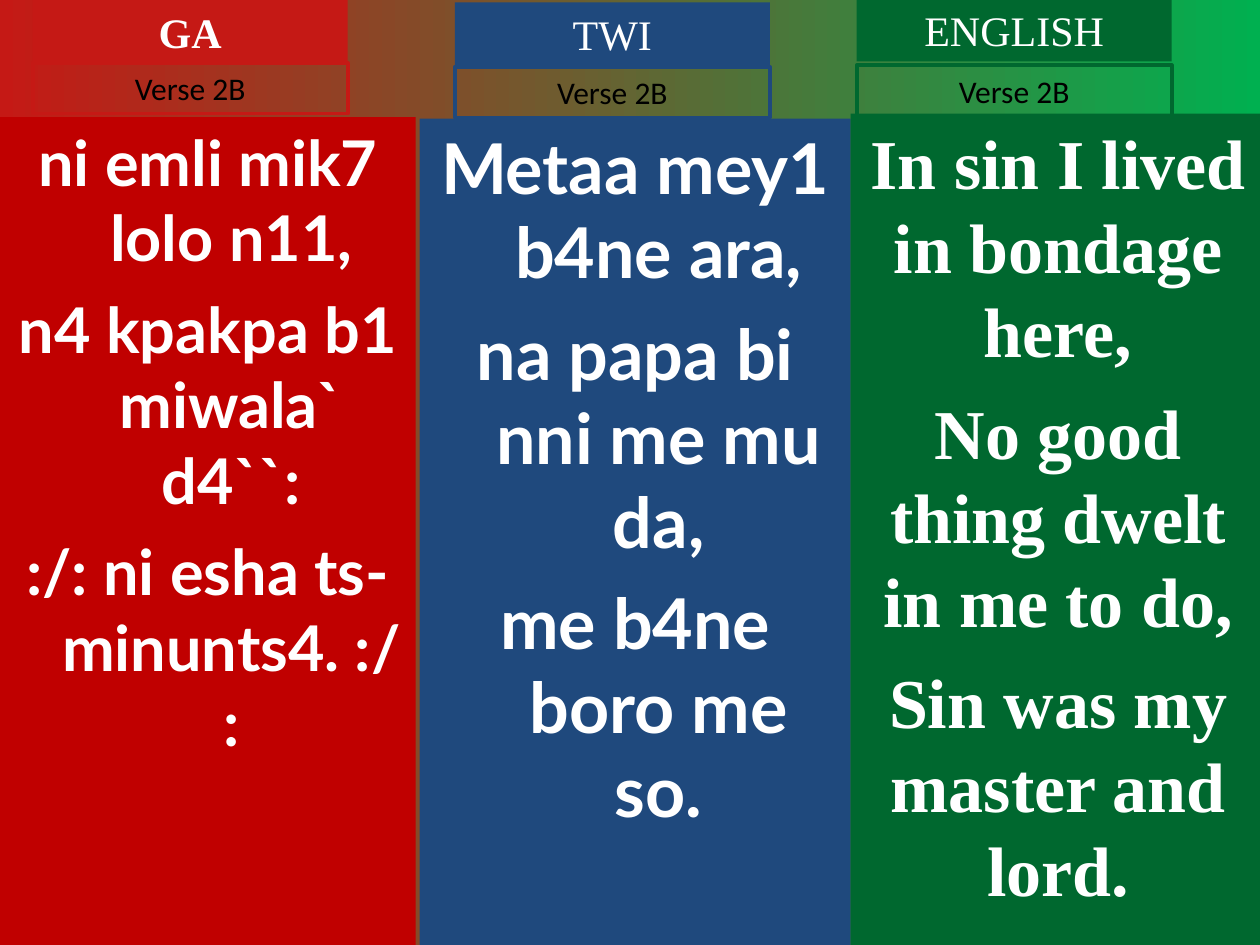
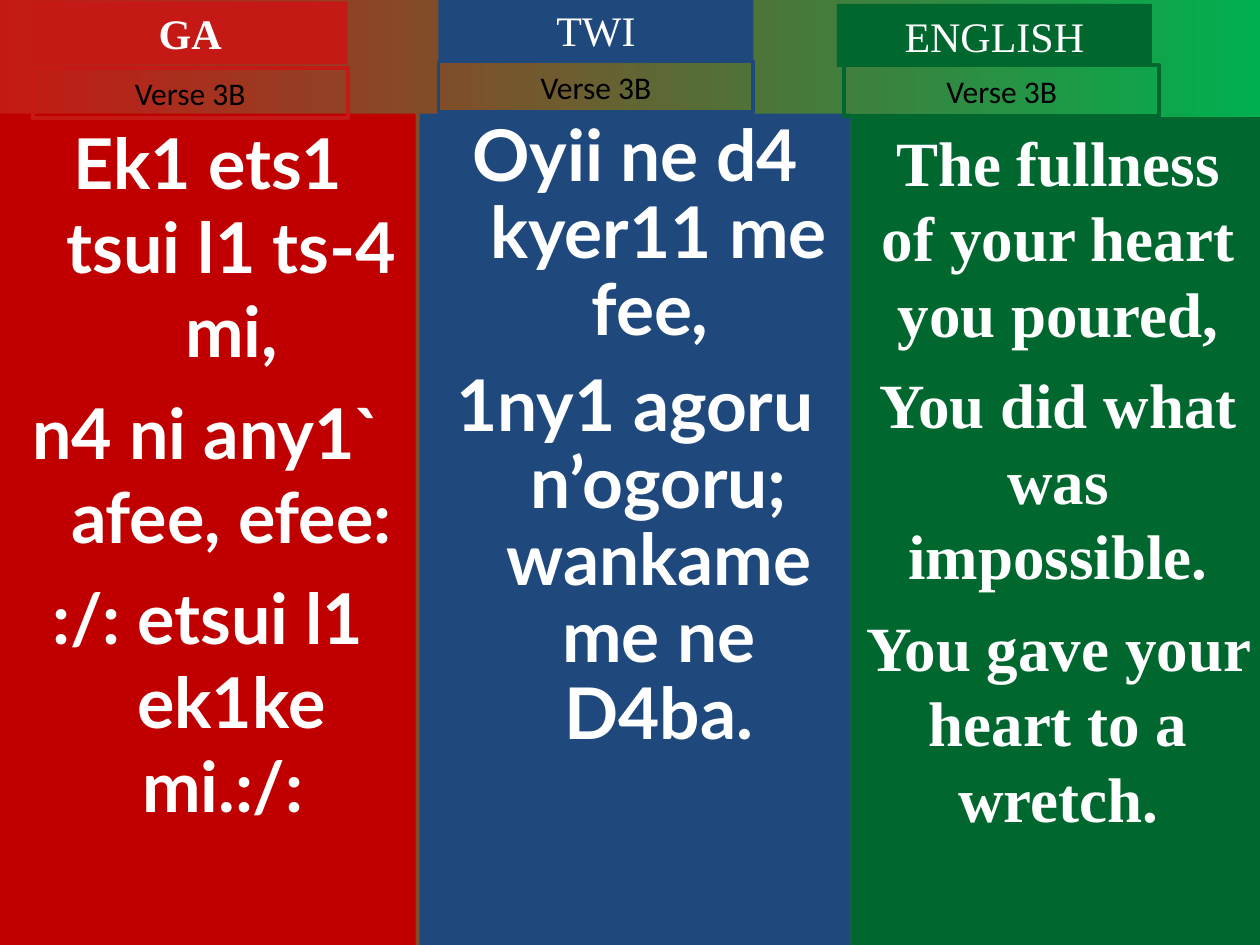
from dataclasses import dataclass

from pptx import Presentation
from pptx.dml.color import RGBColor as Rgb
from pptx.enum.shapes import MSO_SHAPE as Kind
from pptx.enum.text import MSO_ANCHOR as Anchor, PP_ALIGN as Align
from pptx.util import Cm, Pt


@dataclass(frozen=True)
class Theme:
    red: str = "C00000"
    bright: str = "C51915"
    blue: str = "1F497D"
    green: str = "00682F"
    lime: str = "00B050"
    white: str = "FFFFFF"
    black: str = "000000"
    sans: str = "Lato"
    serif: str = "Times New Roman"
    plain: str = "Calibri"
    head: float = 24
    tag: float = 18
    edge: float = 2.25


@dataclass(frozen=True)
class Tongue:
    """One language column: its place, colours and lyric style."""
    name: str
    left: float
    width: float
    fill: str
    accent: str
    font: str
    hang: float = 0
    bold: bool = False


@dataclass(frozen=True)
class Part:
    """What one language shows on one slide; places in cm, size in points."""
    top: float
    head: tuple
    tag: tuple
    size: float
    gap: float
    lines: tuple
    pitch: float = 1.0


THEME = Theme()
WIDE, HIGH = 25.4, 19.05
LABEL, HEAD, TAG = 6.35, 1.27, 1.02

TONGUES = (
    Tongue("GA", 0, 8.38, THEME.red, THEME.bright, THEME.sans, 0.95, True),
    Tongue("TWI", 8.46, 8.69, THEME.blue, THEME.blue, THEME.sans, 0.95),
    Tongue("ENGLISH", 17.15, 8.36, THEME.green, THEME.green, THEME.serif),
)

VERSES = {
    "Verse 2B": (
        Part(2.36, (0.66, 0), (0.66, 1.27), 36, 9, (
            "ni emli mik7 lolo n11,",
            "n4 kpakpa b1 miwala` d4``:",
            ":/: ni esha ts- minunts4. :/:")),
        Part(2.39, (9.17, 0.05), (9.17, 1.35), 40, 10, (
            "Metaa mey1 b4ne ara,",
            "na papa bi nni me mu da,",
            "me b4ne boro me so.")),
        Part(2.29, (17.27, -0.03), (17.27, 1.32), 40, 10, (
            "In sin I lived in bondage here,",
            "No good thing dwelt in me to do,",
            "Sin was my master and lord.")),
    ),
    "Verse 3B": (
        Part(2.29, (0.66, 0.03), (0.66, 1.37), 40, 10, (
            "Ek1 ets1 tsui l1 ts-4 mi,",
            "n4 ni any1` afee, efee:",
            ":/: etsui l1 ek1ke mi.:/: ")),
        Part(2.29, (8.84, -0.03), (8.84, 1.24), 40.7, 11, (
            "Oyii ne d4 kyer11 me fee, ",
            "1ny1 agoru n’ogoru; wankame me ne D4ba."), 0.9),
        Part(2.36, (16.87, 0.08), (17.02, 1.32), 36, 9, (
            "The fullness of your heart you poured,",
            "You did what was impossible.",
            "You gave your heart to a wretch.")),
    ),
}


class Deck:
    def __init__(self, theme):
        self.theme = theme
        self.show = Presentation()
        self.show.slide_width, self.show.slide_height = Cm(WIDE), Cm(HIGH)
        self.slide = None

    def page(self):
        self.slide = self.show.slides.add_slide(self.show.slide_layouts[6])
        fill = self.slide.background.fill
        fill.gradient()
        fill.gradient_angle = 0
        ends = (self.theme.bright, 0), (self.theme.lime, 1)
        for stop, (color, place) in zip(fill.gradient_stops, ends):
            stop.color.rgb = Rgb.from_string(color)
            stop.position = place

    def box(self, left, top, width, height, fill=None, line=None):
        shape = self.slide.shapes.add_shape(
            Kind.RECTANGLE, Cm(left), Cm(top), Cm(width), Cm(height))
        shape.shadow.inherit = False
        if fill:
            shape.fill.solid()
            shape.fill.fore_color.rgb = Rgb.from_string(fill)
        else:
            shape.fill.background()
        if line:
            shape.line.color.rgb = Rgb.from_string(line)
            shape.line.width = Pt(self.theme.edge)
        else:
            shape.line.fill.background()
        frame = shape.text_frame
        frame.word_wrap = True
        frame.vertical_anchor = Anchor.TOP
        return frame

    def words(self, frame, lines, font, size, color, bold=False):
        frame.text = "\n".join(lines)
        for para in frame.paragraphs:
            para.alignment = Align.CENTER
            for run in para.runs:
                run.font.name, run.font.size = font, Pt(size)
                run.font.bold = bold
                run.font.color.rgb = Rgb.from_string(color)

    def lyric(self, tongue, part):
        """Draw the tall column; wrapped lines hang behind the first."""
        frame = self.box(tongue.left, part.top, tongue.width,
                         HIGH - part.top, tongue.fill)
        self.words(frame, part.lines, tongue.font, part.size,
                   self.theme.white, True)
        for rank, para in enumerate(frame.paragraphs):
            para.line_spacing = part.pitch
            para.space_before = Pt(part.gap if rank else 0)
            if tongue.hang:
                props = para._p.get_or_add_pPr()
                props.set("marL", str(Cm(tongue.hang)))
                props.set("indent", str(-Cm(tongue.hang)))

    def label(self, tongue, part, verse):
        """Draw the language name and the outlined verse tag."""
        theme = self.theme
        name = self.box(*part.head, LABEL, HEAD, fill=tongue.accent)
        self.words(name, [tongue.name], theme.serif, theme.head,
                   theme.white, tongue.bold)
        tag = self.box(*part.tag, LABEL, TAG, line=tongue.accent)
        self.words(tag, [verse], theme.plain, theme.tag, theme.black)


def main():
    deck = Deck(THEME)
    for verse, parts in VERSES.items():
        deck.page()
        for tongue, part in zip(TONGUES, parts):
            deck.lyric(tongue, part)
            deck.label(tongue, part, verse)
    deck.show.save("out.pptx")


if __name__ == "__main__":
    main()
